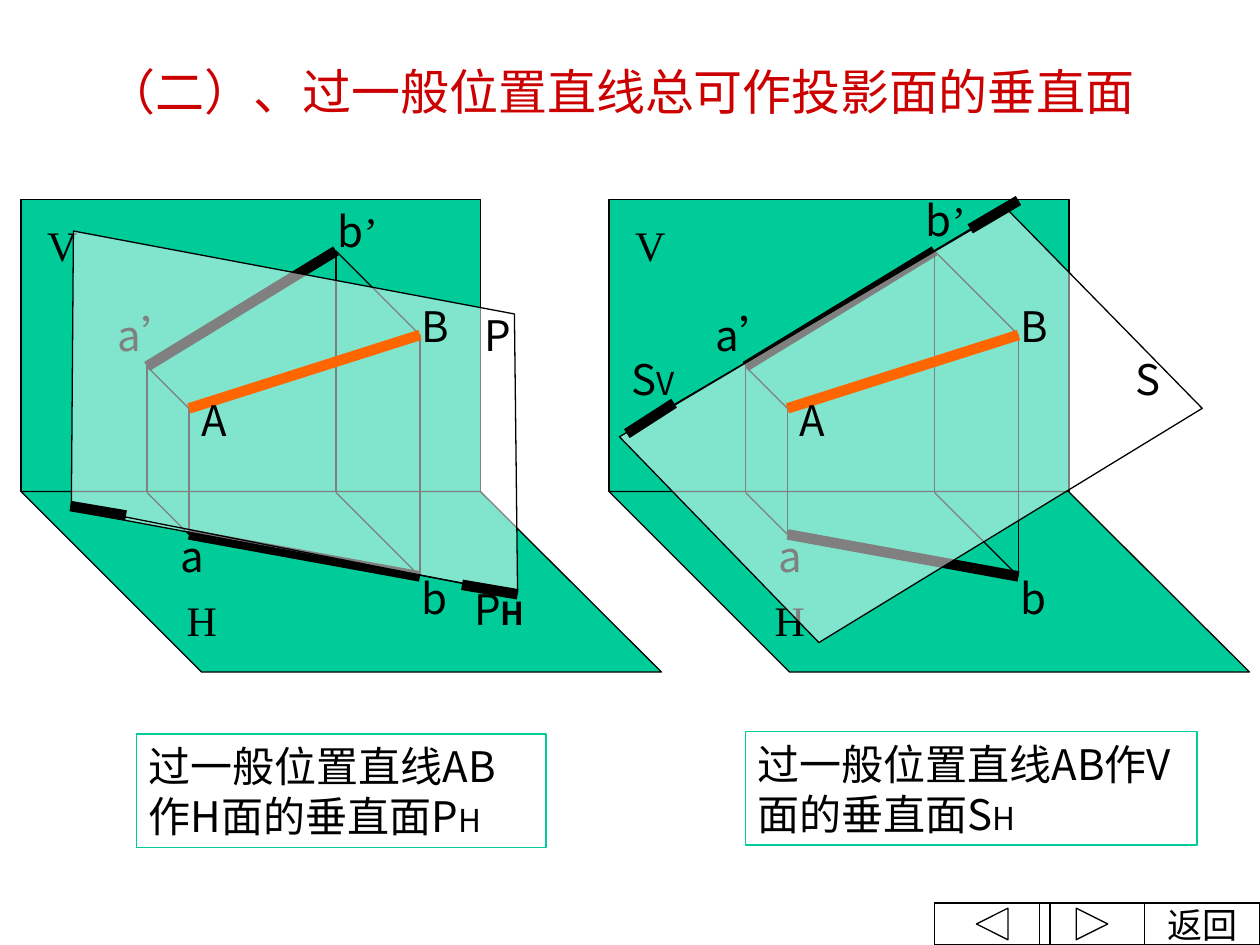
"""Build a slide on planes through a general line perpendicular to a projection plane."""
from dataclasses import dataclass

from lxml.etree import SubElement
from pptx import Presentation
from pptx.dml.color import RGBColor as Color
from pptx.enum.shapes import MSO_CONNECTOR as Connector, MSO_SHAPE as Preset
from pptx.enum.text import MSO_ANCHOR as Anchor, PP_ALIGN as Align
from pptx.oxml.ns import qn
from pptx.util import Inches, Pt

COLUMNS, ROWS = 120, 90
CELL = Inches(10) / COLUMNS


@dataclass(frozen=True)
class Theme:
    """Colours, fonts, type sizes and line widths."""
    ink: str = "000000"
    title: str = "CC0000"
    plane: str = "00CC99"
    glass: str = "FFFFFF"
    accent: str = "FF6600"
    serif: str = "Times New Roman"
    sans: str = "Noto Sans CJK SC"
    caption: str = "Noto Sans CJK JP"
    title_size: int = 28
    body_size: int = 24
    button_size: int = 20
    index_size: int = 18
    thin: float = 0.75
    thick: float = 6


THEME = Theme()


def grid(*values):
    """Turn grid units into whole EMU."""
    return [round(value * CELL) for value in values]


def shift(points, columns):
    """Move points to the right."""
    return [(x + columns, y) for x, y in points]


def write(shape, *runs, size=THEME.body_size, font=THEME.sans, color=THEME.ink,
          align=Align.LEFT, anchor=Anchor.TOP, wrap=True):
    """Write runs, each a string or a (string, overrides) pair, into a shape."""
    frame = shape.text_frame
    frame.word_wrap = wrap
    frame.vertical_anchor = anchor
    paragraph = frame.paragraphs[0]
    paragraph.alignment = align
    for item in runs:
        text, changes = (item, {}) if isinstance(item, str) else item
        run = paragraph.add_run()
        run.text = text
        run.font.name = changes.get("font", font)
        run.font.size = Pt(changes.get("size", size))
        run.font.bold = changes.get("bold", False)
        run.font.color.rgb = Color.from_string(color)
        east_asian = SubElement(run.font._element, qn("a:ea"))
        east_asian.set("typeface", THEME.sans if font == THEME.serif else font)


def add_label(slide, x, y, *runs, width=9, height=6, **style):
    """Add a text box at a grid position."""
    write(slide.shapes.add_textbox(*grid(x, y, width, height)), *runs, **style)


def paint(shape, fill=None, line=THEME.ink, opacity=None):
    """Set fill, outline and opacity of a shape."""
    shape.shadow.inherit = False
    if fill:
        shape.fill.solid()
        shape.fill.fore_color.rgb = Color.from_string(fill)
    else:
        shape.fill.background()
    if opacity:
        solid = shape._element.spPr.find(qn("a:solidFill"))
        SubElement(solid[0], qn("a:alpha")).set("val", str(opacity * 1000))
    shape.line.color.rgb = Color.from_string(line)
    shape.line.width = Pt(THEME.thin)
    return shape


def add_rectangle(slide, x, y, width, height, **style):
    """Add a painted rectangle."""
    box = slide.shapes.add_shape(Preset.RECTANGLE, *grid(x, y, width, height))
    return paint(box, **style)


def add_outline(slide, *contours, **style):
    """Add a painted freeform made of closed contours."""
    builder = slide.shapes.build_freeform(*grid(*contours[0][0]))
    for index, contour in enumerate(contours):
        start, *rest = [grid(*point) for point in contour]
        if index:
            builder.move_to(*start)
        builder.add_line_segments(rest, close=True)
    return paint(builder.convert_to_shape(), **style)


def add_line(slide, start, end, color=THEME.ink, width=THEME.thin):
    """Add a straight line between two grid points."""
    line = slide.shapes.add_connector(Connector.STRAIGHT, *grid(*start, *end))
    line.line.color.rgb = Color.from_string(color)
    line.line.width = Pt(width)
    SubElement(line._element.spPr, qn("a:effectLst"))


def add_projection_planes(slide, left):
    """Draw the V and H planes with their names."""
    add_rectangle(slide, left, 19, 43.8, 27.8, fill=THEME.plane)
    floor = [(0, 46.8), (17.2, 64), (61, 64), (43.75, 46.8)]
    add_outline(slide, shift(floor, left), fill=THEME.plane)
    add_label(slide, left + 1.3, 20.3, "V", width=8, font=THEME.serif)
    add_label(slide, left + 14.6, 56, "H", width=8, font=THEME.serif)


def add_projections(slide, offset, b_label):
    """Draw both projections of AB and their projectors; return A and B."""
    a_front, b_front, a_foot, b_foot, a_top, b_top, a_space, b_space = shift(
        [(14, 34.9), (32, 23.9), (14, 46.9), (32, 46.9),
         (18, 50.9), (40, 54.9), (18, 38.9), (40, 31.9)], offset)
    for front, foot, top, space in ((a_front, a_foot, a_top, a_space),
                                    (b_front, b_foot, b_top, b_space)):
        corners = [front, foot, top, space, front]
        for start, end in zip(corners, corners[1:]):
            add_line(slide, start, end)
    add_line(slide, b_front, a_front, width=THEME.thick)
    add_line(slide, a_top, b_top, width=THEME.thick)
    add_label(slide, *b_label, "b", ("’", {"font": THEME.serif}), width=7)
    add_label(slide, offset + 10, 28.9, "a’")
    add_label(slide, offset + 16, 49.9, "a", width=4)
    add_label(slide, offset + 39, 53.9, "b", width=4)
    return a_space, b_space


def add_space_line(slide, a_space, b_space):
    """Draw AB in space with its end names."""
    add_line(slide, b_space, a_space, THEME.accent, THEME.thick)
    add_label(slide, a_space[0], 37, "A")
    add_label(slide, b_space[0] - 1, 28, "B")


def add_trace(slide, start, start_tip, end_tip, end):
    """Draw a trace with both ends thickened."""
    add_line(slide, start, end)
    add_line(slide, start, start_tip, width=THEME.thick)
    add_line(slide, end, end_tip, width=THEME.thick)


def add_figure(slide, left, offset, b_label, cutting_plane, name, trace):
    """Draw one complete figure with its cutting plane."""
    add_projection_planes(slide, left)
    ends = add_projections(slide, offset, b_label)
    add_outline(slide, cutting_plane, fill=THEME.glass, opacity=50)
    add_label(slide, *name[:2], name[2], width=name[3])
    add_space_line(slide, *ends)
    add_trace(slide, *trace)


def add_caption(slide, x, y, width, text):
    """Add a framed caption that ends in a small H."""
    box = add_rectangle(slide, x, y, width, 10.8, line=THEME.plane)
    write(box, text, ("H", {"size": THEME.index_size}), font=THEME.caption)


def add_buttons(slide):
    """Draw the previous, next and return buttons."""
    top, middle, bottom = ROWS - 4, ROWS - 2, ROWS
    high, low = middle - 1.5, middle + 1.5
    previous_arrow = [(93, middle), (96, high), (96, low)]
    next_arrow = [(102.5, high), (105.5, middle), (102.5, low)]
    for x, width, arrow in ((89, 11, previous_arrow), (99, 10, next_arrow)):
        frame = [(x, top), (x + width, top), (x + width, bottom), (x, bottom)]
        add_outline(slide, frame, arrow)
    button = add_rectangle(slide, 109, top, 11, 4)
    write(button, "返回", size=THEME.button_size, font=THEME.serif,
          align=Align.CENTER, anchor=Anchor.MIDDLE, wrap=False)


def main():
    """Build and save the slide."""
    presentation = Presentation()
    presentation.slide_width, presentation.slide_height = grid(COLUMNS, ROWS)
    slide = presentation.slides.add_slide(presentation.slide_layouts[6])
    add_figure(slide, 58, 57, (87, 17.9),
               [(59, 41.6), (78, 61.2), (114.5, 38.9), (95.9, 19.9)],
               (107, 33.1, "S", 13),
               [(59.7, 41.3), (64.2, 38.4), (92.4, 21.8), (97, 19.1)])
    add_figure(slide, 2, 0, (31, 19),
               [(6.8, 48.6), (7, 22), (49, 29.9), (49.3, 56.5)],
               (45, 28.9, "P", 9),
               [(6.7, 48.2), (12, 49.1), (44, 55.7), (49.3, 56.6)])
    add_label(slide, 9, 5.3, "（二）、过一般位置直线总可作投影面的垂直面", width=101.5,
              height=6.8, size=THEME.title_size, font=THEME.serif, color=THEME.title)
    add_caption(slide, 13, 69.9, 39, "过一般位置直线AB作H面的垂直面P")
    add_caption(slide, 71, 69.7, 43, "过一般位置直线AB作V面的垂直面S")
    add_label(slide, 44, 55, "P", ("H", {"size": THEME.index_size, "bold": True}))
    add_label(slide, 59, 33.1, "S", ("V", {"size": THEME.index_size}), width=13)
    add_buttons(slide)
    presentation.save("out.pptx")


if __name__ == "__main__":
    main()
